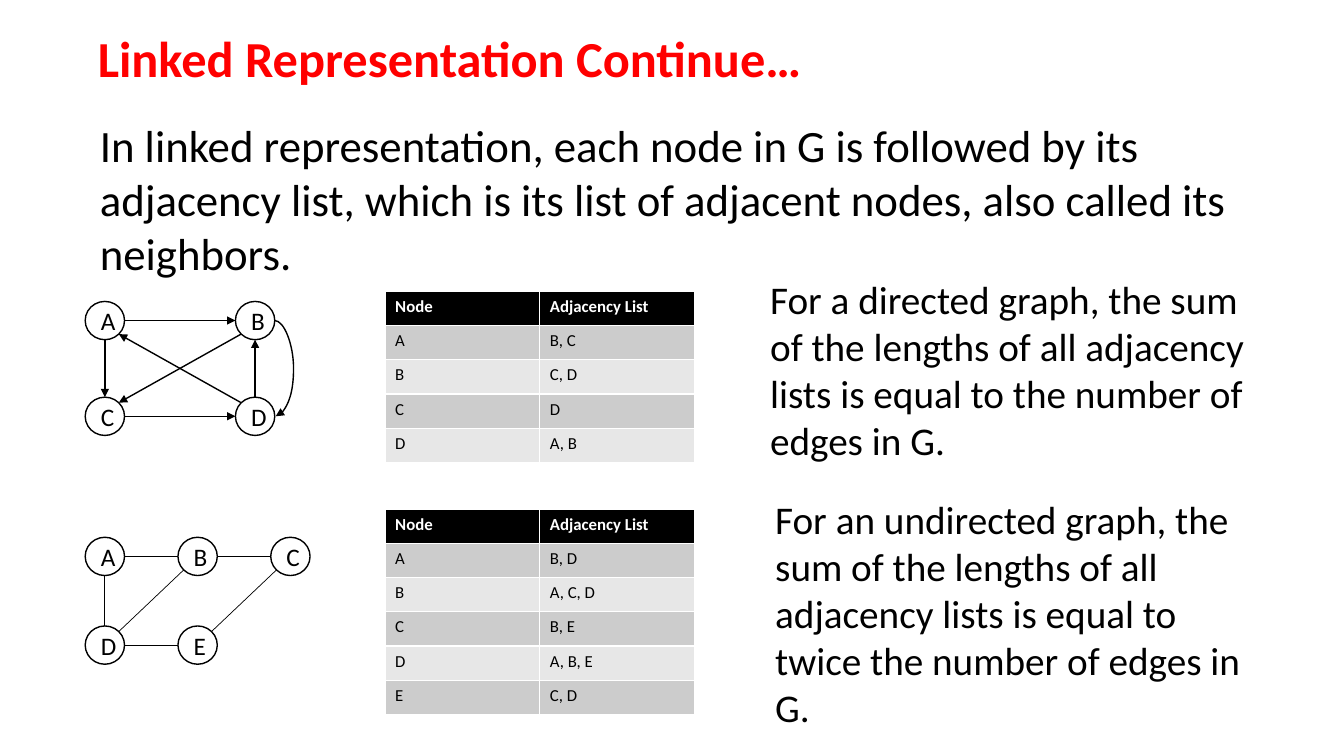
from lxml import etree
from pptx import Presentation
from pptx import util as u
from pptx.dml.color import RGBColor
from pptx.enum import shapes, text
from pptx.oxml import ns

BLACK, WHITE, RED = "000000", "FFFFFF", "FF0000"
BANDS = ("CCCCCC", "E7E7E7")
FONT = "Calibri"
NODE_WIDTH, NODE_HEIGHT = 0.39, 0.38
DIAGONAL = 0.71


def color(value):
    return RGBColor.from_string(value)


def box(left, top, width, height):
    return [u.Inches(value) for value in (left, top, width, height)]


def write(frame, content, size, font_color=BLACK, bold=False,
          align=text.PP_ALIGN.LEFT):
    frame.text = content
    paragraph = frame.paragraphs[0]
    paragraph.alignment = align
    paragraph.space_before = u.Pt(0)
    font = paragraph.runs[0].font
    font.name, font.size, font.bold = FONT, u.Pt(size), bold
    font.color.rgb = color(font_color)


def fill_placeholder(shape, place, content, size, font_color=BLACK, bold=False):
    shape.left, shape.top, shape.width, shape.height = box(*place)
    frame = shape.text_frame
    frame.vertical_anchor = text.MSO_ANCHOR.TOP
    frame.auto_size = text.MSO_AUTO_SIZE.NONE
    write(frame, content, size, font_color, bold)


def remove_bullet(paragraph):
    properties = paragraph._p.get_or_add_pPr()
    properties.set("marL", "0")
    properties.set("indent", "0")
    etree.SubElement(properties, ns.qn("a:buNone"))


def add_note(slide, place, content):
    frame = slide.shapes.add_textbox(*box(*place)).text_frame
    frame.word_wrap = True
    write(frame, content, 28)


def add_node(slide, name, center):
    x, y = center
    node = slide.shapes.add_shape(
        shapes.MSO_SHAPE.OVAL,
        *box(x - NODE_WIDTH / 2, y - NODE_HEIGHT / 2, NODE_WIDTH, NODE_HEIGHT))
    node.shadow.inherit = False
    node.fill.solid()
    node.fill.fore_color.rgb = color(WHITE)
    node.line.color.rgb = color(BLACK)
    node.line.width = u.Pt(1)
    write(node.text_frame, name, 18, align=text.PP_ALIGN.CENTER)


def add_edge(slide, start, end, width, arrow, kind=shapes.MSO_CONNECTOR.STRAIGHT):
    edge = slide.shapes.add_connector(
        kind, *[u.Inches(value) for value in (*start, *end)])
    edge.line.color.rgb = color(BLACK)
    edge.line.width = u.Pt(width)
    if arrow:
        tail = etree.SubElement(edge.line._get_or_add_ln(), ns.qn("a:tailEnd"))
        tail.set("type", "triangle")
    etree.SubElement(edge._element.spPr, ns.qn("a:effectLst"))
    return edge


def rim_point(center, toward):
    """Point of a node's outline, in one of eight directions."""
    dx, dy = [(b > a) - (b < a) for a, b in zip(center, toward)]
    scale = DIAGONAL if dx and dy else 1
    return (center[0] + dx * scale * NODE_WIDTH / 2,
            center[1] + dy * scale * NODE_HEIGHT / 2)


def add_graph(slide, centers, edges, width, arrow):
    for name, center in centers.items():
        add_node(slide, name, center)
    for first, second in edges.split():
        start, end = centers[first], centers[second]
        add_edge(slide, rim_point(start, end), rim_point(end, start), width, arrow)


def add_curved_edge(slide, start, end, bulge):
    """Arrow between the right sides of two nodes, bowed to the right."""
    offset = 0.01
    x = start[0] + NODE_WIDTH / 2
    edge = add_edge(slide, (x, start[1]), (x + offset, end[1]), 1, True,
                    shapes.MSO_CONNECTOR.CURVE)
    geometry = edge._element.spPr.find(ns.qn("a:prstGeom"))
    for child in list(geometry):
        geometry.remove(child)
    guides = etree.SubElement(geometry, ns.qn("a:avLst"))
    guide = etree.SubElement(guides, ns.qn("a:gd"))
    guide.set("name", "adj1")
    guide.set("fmla", f"val {round(bulge / offset * 100000)}")


def add_adjacency_table(slide, top, neighbors):
    rows = [("Node", "Adjacency List"), *neighbors.items()]
    table = slide.shapes.add_table(
        len(rows), 2, *box(3.82, top, 3.07, 0.34 * len(rows))).table
    for row_index, row in enumerate(rows):
        header = row_index == 0
        for column_index, content in enumerate(row):
            cell = table.cell(row_index, column_index)
            cell.fill.solid()
            cell.fill.fore_color.rgb = color(
                BLACK if header else BANDS[(row_index - 1) % 2])
            write(cell.text_frame, content, 12, WHITE if header else BLACK, header)


def main():
    presentation = Presentation()
    presentation.slide_width = u.Inches(13.33)
    presentation.slide_height = u.Inches(7.5)
    slide = presentation.slides.add_slide(presentation.slide_layouts[1])

    # Title and introduction
    fill_placeholder(slide.shapes.title, (0.87, 0.22, 9.42, 0.71),
                     "Linked Representation Continue…", 36, RED, True)
    body = slide.placeholders[1]
    fill_placeholder(
        body, (0.89, 1.12, 11.49, 1.72),
        "In linked representation, each node in G is followed by its adjacency "
        "list, which is its list of adjacent nodes, also called its neighbors.", 32)
    remove_bullet(body.text_frame.paragraphs[0])

    # Directed graph
    left, right, upper, lower = 1.04, 2.53, 3.18, 4.13
    directed = {"A": (left, upper), "B": (right, upper),
                "C": (left, lower), "D": (right, lower)}
    add_graph(slide, directed, "AB DB CD AC DA BC", 1, True)
    add_curved_edge(slide, directed["B"], directed["D"], 0.19)
    add_adjacency_table(slide, 2.89,
                        {"A": "B, C", "B": "C, D", "C": "D", "D": "A, B"})
    add_note(slide, (7.54, 2.68, 5.17, 1.99),
             "For a directed graph, the sum of the lengths of all adjacency "
             "lists is equal to the number of edges in G.")

    # Undirected graph
    step, upper, lower = 0.92, 5.52, 6.4
    undirected = {name: (left + column * step, y)
                  for names, y in (("ABC", upper), ("DE", lower))
                  for column, name in enumerate(names)}
    add_graph(slide, undirected, "AB BC CE DE AD BD", 0.5, False)
    add_adjacency_table(slide, 5.05,
                        {"A": "B, D", "B": "A, C, D", "C": "B, E",
                         "D": "A, B, E", "E": "C, D"})
    add_note(slide, (7.59, 4.86, 4.98, 2.46),
             "For an undirected graph, the sum of the lengths of all adjacency "
             "lists is equal to twice the number of edges in G.")

    presentation.save("out.pptx")


main()
